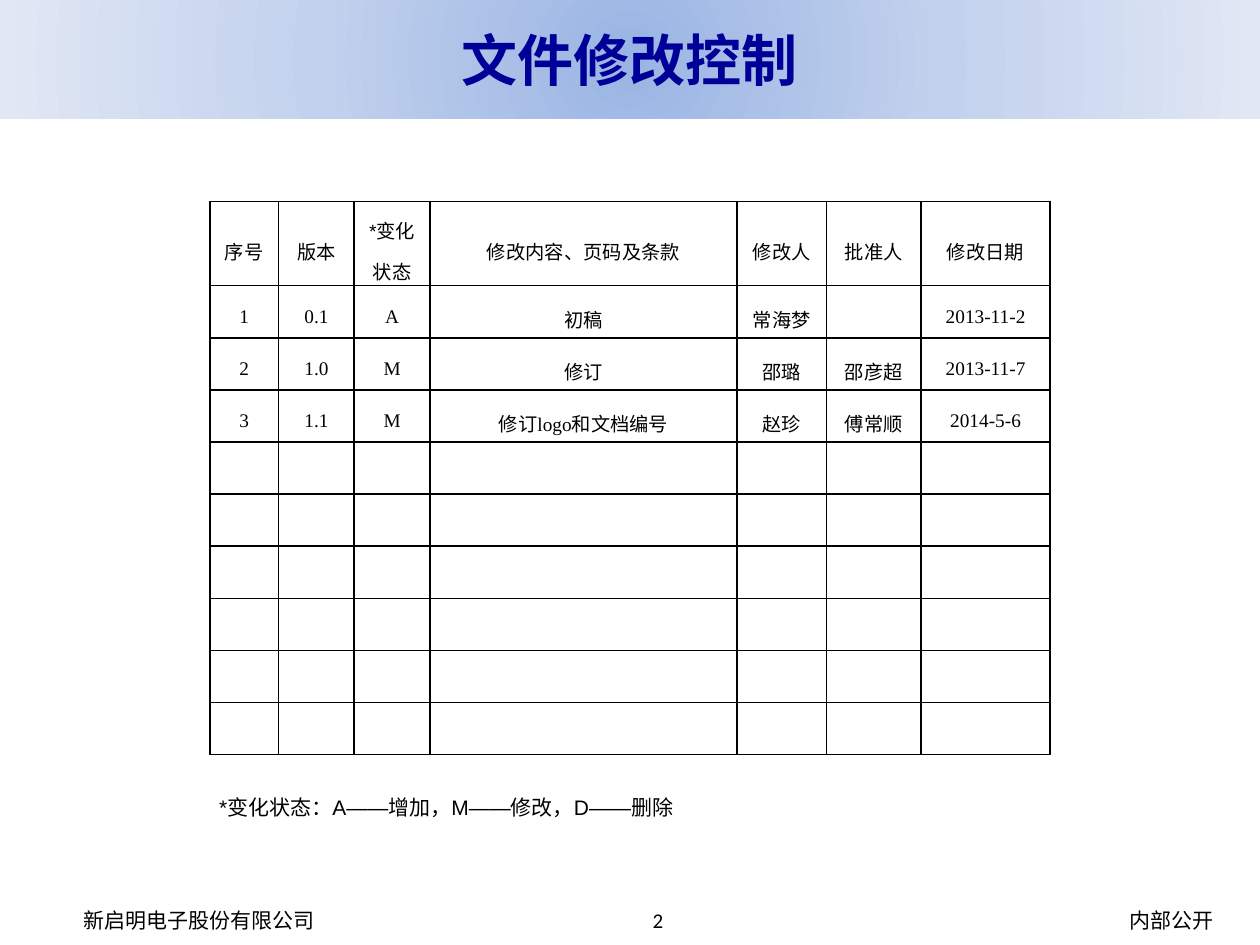
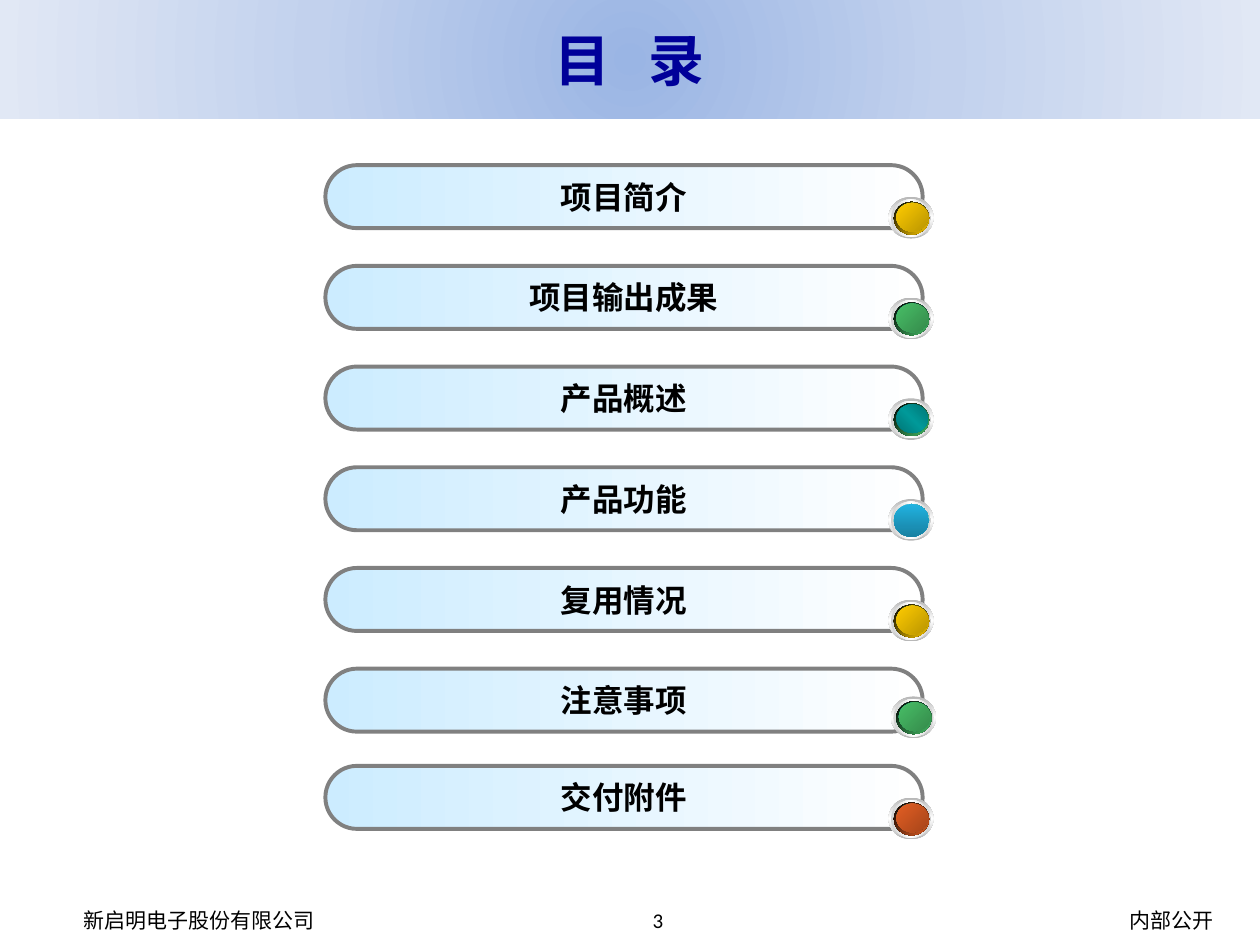
from dataclasses import dataclass
from typing import Optional

from lxml.etree import SubElement
from pptx import Presentation
from pptx.dml.color import RGBColor
from pptx.enum.shapes import MSO_SHAPE as Preset
from pptx.enum.text import MSO_ANCHOR as Anchor, MSO_AUTO_SIZE as AutoSize, PP_ALIGN as Align
from pptx.oxml.ns import qn
from pptx.util import Cm, Pt

COLOURS = {
    "black": "000000", "white": "FFFFFF", "title": "000099", "title_edge": "5E457C",
    "band_mid": "9AB5E4", "band": "C2D1ED", "band_end": "E1E8F5",
    "bar": "CCECFF", "bar_line": "808080", "rim": "B6B6B6", "ring": "D1D1D1",
    "teal": "009999", "teal_dark": "007575", "yellow": "FFCC00", "yellow_dark": "BA9500",
    "green": "48BE67", "green_dark": "358B4B", "blue": "21B3E1", "blue_dark": "1880A1",
    "orange": "E35E23", "orange_dark": "A6451A",
}
CJK_FONT = "Noto Sans CJK SC"
COMPANY = "新启明电子股份有限公司"
FOOTER_TOP, FOOTER_HEIGHT = 18.03, 1.02


@dataclass
class Frame:
    """A place on the page, in centimetres."""
    left: float
    top: float
    width: float
    height: float

    def lengths(self) -> tuple:
        return Cm(self.left), Cm(self.top), Cm(self.width), Cm(self.height)

    def offset(self, left: float, top: float) -> "Frame":
        return Frame(self.left + left, self.top + top, self.width, self.height)


@dataclass
class Layer:
    """One ellipse of a knob, placed from the bar's corner."""
    frame: Frame
    stops: tuple
    angle: int


@dataclass
class Entry:
    """A line of the contents; without a shade the knob stays teal."""
    text: str
    colour: str
    shade: Optional[str] = None
    flat: bool = False
    lift: float = 0
    knob_left: float = 0
    knob_top: float = 0


# Text and fill helpers
def style_span(span, size: float, font: str, colour: str = "black", bold: bool = False) -> None:
    span.font.size, span.font.name, span.font.bold = Pt(size), font, bold
    span.font.color.rgb = RGBColor.from_string(COLOURS[colour])
    latin = span._r.rPr.find(qn("a:latin"))
    east_asian = latin.makeelement(qn("a:ea"), {"typeface": CJK_FONT})
    latin.addnext(east_asian)


def write(frame, text: str, size: float, font: str, align=Align.CENTER, bold: bool = False) -> None:
    frame.text = text
    para = frame.paragraphs[0]
    para.alignment = align
    for span in para.runs:
        style_span(span, size, font, bold=bold)


def add_label(page, place: Frame, text: str, font: str, align=Align.CENTER,
              anchor=Anchor.MIDDLE) -> None:
    box = page.shapes.add_textbox(*place.lengths())
    box.text_frame.word_wrap = True
    box.text_frame.vertical_anchor = anchor
    write(box.text_frame, text, 12, font, align)


def fill_gradient(shape, names: tuple, angle: Optional[int] = None) -> None:
    """Evenly spaced stops: linear at an angle, or round from the centre."""
    shape.fill.gradient()
    gradient = shape._element.spPr.find(qn("a:gradFill"))
    gradient.clear()
    gradient.set("rotWithShape", "1")
    stops = SubElement(gradient, qn("a:gsLst"))
    for index, name in enumerate(names):
        position = 100000 * index // (len(names) - 1)
        stop = SubElement(stops, qn("a:gs"), pos=str(position))
        SubElement(stop, qn("a:srgbClr"), val=COLOURS[name])
    if angle is None:
        path = SubElement(gradient, qn("a:path"), attrib={"path": "circle"})
        SubElement(path, qn("a:fillToRect"), l="50000", t="50000", r="50000", b="50000")
    else:
        SubElement(gradient, qn("a:lin"), ang=str(angle * 60000), scaled="1")


# Shared page parts
def outline_span(span) -> None:
    properties = span._r.get_or_add_rPr()
    edge = properties.makeelement(qn("a:ln"), {"w": str(Pt(0.71))})
    solid = SubElement(edge, qn("a:solidFill"))
    SubElement(solid, qn("a:srgbClr"), val=COLOURS["title_edge"])
    properties.insert(0, edge)


def format_title(title, text: str) -> None:
    title.left, title.top, title.width, title.height = Frame(0, 0, 25.4, 2.39).lengths()
    fill_gradient(title, ("band_mid", "band", "band_end"))
    frame = title.text_frame
    frame.auto_size, frame.vertical_anchor = AutoSize.NONE, Anchor.MIDDLE
    para = frame.paragraphs[0]
    para.alignment = Align.CENTER
    for piece in filter(None, text.partition(" ")):
        span = para.add_run()
        span.text = piece
        style_span(span, 32, CJK_FONT, "title", bold=True)
        outline_span(span)
        if piece == " ":  # widen the gap between the two characters
            span._r.rPr.set("spc", "1440")


def add_page(deck, title: str, number: int):
    page = deck.slides.add_slide(deck.slide_layouts[5])
    footers = (
        (0.69, 6.65, COMPANY, Align.CENTER),
        (21.82, 3.58, "内部公开", Align.CENTER),
        (12.5, 1.12, str(number), Align.RIGHT),
    )
    for left, width, text, align in footers:
        add_label(page, Frame(left, FOOTER_TOP, width, FOOTER_HEIGHT), text, "Calibri", align)
    format_title(page.shapes.title, title)
    return page


# Revision table: the header row holds two lines of text
COLUMN_WIDTHS = (1.39, 1.52, 1.53, 6.19, 1.8, 1.91, 2.6)
HEADER_HEIGHT, ROW_HEIGHT, ROW_COUNT = 1.7, 1.05, 10
REVISIONS = (
    ("序号", "版本", "*变化状态", "修改内容、页码及条款", "修改人", "批准人", "修改日期"),
    ("1", "0.1", "A", "初稿", "常海梦", "", "2013-11-2"),
    ("2", "1.0", "M", "修订", "邵璐", "邵彦超", "2013-11-7"),
    ("3", "1.1", "M", "修订logo和文档编号", "赵珍", "傅常顺", "2014-5-6"),
)


def format_cell(cell) -> None:
    cell.fill.background()
    cell.vertical_anchor = Anchor.MIDDLE
    cell.margin_left = cell.margin_right = Cm(0.18)
    cell.margin_top = cell.margin_bottom = 0
    properties = cell._tc.get_or_add_tcPr()
    for index, side in enumerate(("lnL", "lnR", "lnT", "lnB")):
        border = properties.makeelement(qn(f"a:{side}"), {"w": str(Pt(1))})
        solid = SubElement(border, qn("a:solidFill"))
        SubElement(solid, qn("a:srgbClr"), val=COLOURS["black"])
        properties.insert(index, border)


def add_revision_table(page) -> None:
    height = HEADER_HEIGHT + ROW_HEIGHT * (ROW_COUNT - 1)
    place = Frame(4.23, 4.06, sum(COLUMN_WIDTHS), height)
    table = page.shapes.add_table(ROW_COUNT, len(COLUMN_WIDTHS), *place.lengths()).table
    table.first_row = table.horz_banding = False
    for column, width in zip(table.columns, COLUMN_WIDTHS):
        column.width = Cm(width)
    for index, row in enumerate(table.rows):
        row.height = Cm(ROW_HEIGHT if index else HEADER_HEIGHT)
        for cell in row.cells:
            format_cell(cell)
    for row, texts in zip(table.rows, REVISIONS):
        font = "Arial" if texts is REVISIONS[0] else "Times New Roman"
        for cell, text in zip(row.cells, texts):
            if text:
                write(cell.text_frame, text, 11, font)
                cell.text_frame.paragraphs[0].line_spacing = 1.5


# Contents list
FIRST_BAR = Frame(6.56, 3.33, 12.04, 1.27)
BAR_PITCH = 2.03
RIM = Frame(11.35, 0.64, 0.91, 0.84)
RING = Frame(11.4, 0.69, 0.81, 0.76)
DISC = Frame(11.46, 0.74, 0.71, 0.66)
FACE = Frame(11.51, 0.76, 0.64, 0.58)
ENTRIES = (
    Entry("项目简介", "yellow", "yellow_dark"),
    Entry("项目输出成果", "green", "green_dark"),
    Entry("产品概述", "green"),
    Entry("产品功能", "blue", "blue_dark", flat=True),
    Entry("复用情况", "yellow", "yellow_dark"),
    Entry("注意事项", "green", "green_dark", knob_left=0.05, knob_top=-0.08),
    Entry("交付附件", "orange", "orange_dark", lift=0.07),
)


def knob_layers(entry: Entry) -> list[Layer]:
    layers = [
        Layer(RIM, ("rim", "white", "rim"), 90),
        Layer(RING, ("ring", "white", "ring"), 0),
        Layer(DISC, ("white", "teal", "white"), 45),
    ]
    if entry.flat:
        return layers + [Layer(DISC, (entry.colour, entry.shade), 90)]
    layers += [
        Layer(DISC, ("black", entry.colour), 45),
        Layer(FACE, ("teal_dark", "teal", "teal_dark"), 315),
    ]
    if entry.shade:
        layers.append(Layer(FACE, (entry.colour, entry.shade), 45))
    return layers


def add_gradient_shape(group, preset, place: Frame, stops: tuple, angle: int):
    shape = group.shapes.add_shape(preset, *place.lengths())
    shape.shadow.inherit = False
    shape.line.fill.background()
    fill_gradient(shape, stops, angle)
    return shape


def add_entry(page, entry: Entry, index: int) -> None:
    group = page.shapes.add_group_shape()
    place = FIRST_BAR.offset(0, BAR_PITCH * index - entry.lift)
    bar = add_gradient_shape(group, Preset.ROUNDED_RECTANGLE, place, ("bar", "white"), 0)
    bar.adjustments[0] = 0.5
    bar.line.color.rgb = RGBColor.from_string(COLOURS["bar_line"])
    bar.line.width = Pt(2.25)
    bar.text_frame.word_wrap = False
    bar.text_frame.vertical_anchor = Anchor.MIDDLE
    write(bar.text_frame, entry.text, 18, "Arial", bold=True)
    for layer in knob_layers(entry):
        spot = layer.frame.offset(place.left + entry.knob_left, place.top + entry.knob_top)
        add_gradient_shape(group, Preset.OVAL, spot, layer.stops, layer.angle)


def main() -> None:
    deck = Presentation()
    deck.slide_width, deck.slide_height = Cm(25.4), Cm(19.05)

    revision_page = add_page(deck, "文件修改控制", 2)
    add_revision_table(revision_page)
    add_label(revision_page, Frame(4.17, 15.9, 17.07, 0.76),
              "*变化状态：A——增加，M——修改，D——删除", "Arial", Align.LEFT, Anchor.TOP)

    contents_page = add_page(deck, "目 录", 3)
    for index, entry in enumerate(ENTRIES):
        add_entry(contents_page, entry, index)

    deck.save("out.pptx")


main()
